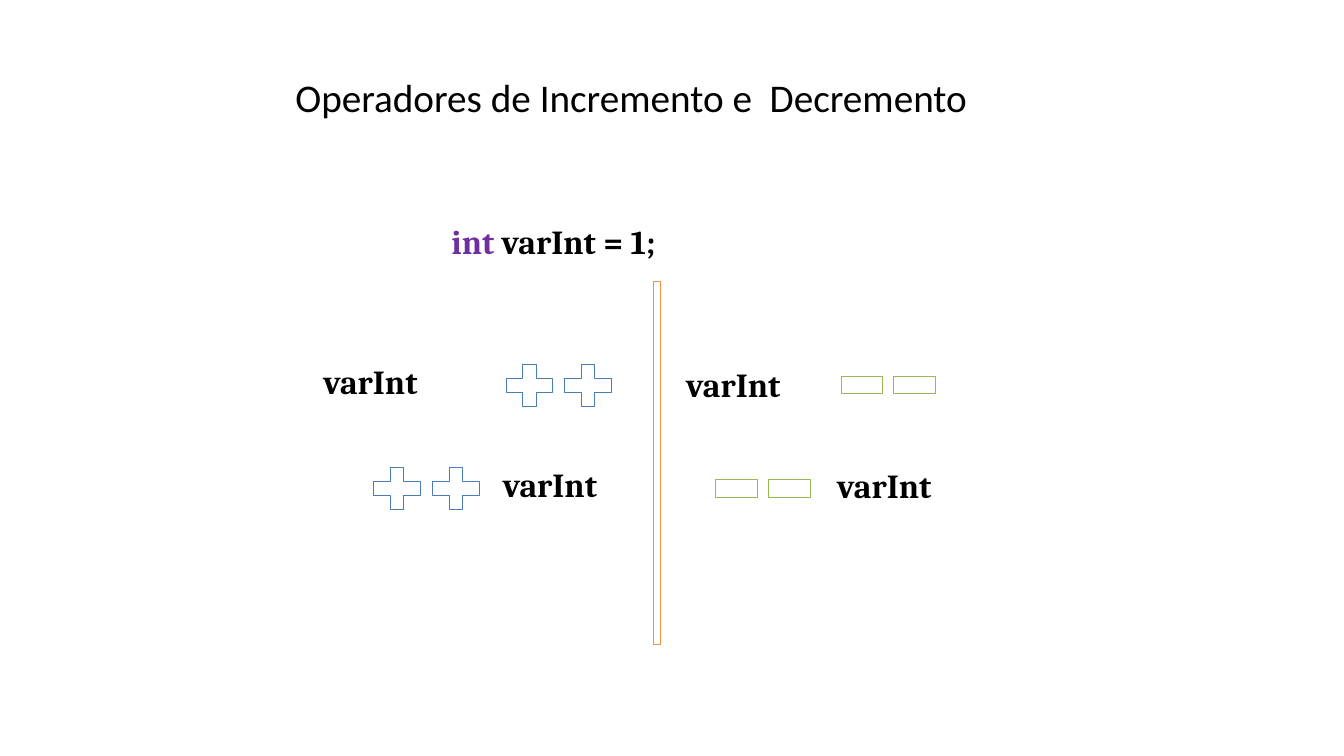
from pptx import Presentation
from pptx.dml.color import RGBColor
from pptx.enum.shapes import MSO_SHAPE
from pptx.enum.text import MSO_ANCHOR
from pptx.util import Pt

RECT = MSO_SHAPE.RECTANGLE
MIDDLE, TOP = MSO_ANCHOR.MIDDLE, MSO_ANCHOR.TOP
COLORS = {"black": "000000", "keyword": "6F2F9F", "plus": "497DBA",
          "minus": "97B853", "divider": "F69240"}

prs = Presentation()
prs.slide_width, prs.slide_height = Pt(960), Pt(540)
s = prs.slides.add_slide(prs.slide_layouts[6])


def add_text(x, y, w, h, runs, font, size, bold, anchor=TOP, inset=1):
    tf = s.shapes.add_textbox(Pt(x), Pt(y), Pt(w), Pt(h)).text_frame
    tf.word_wrap = True
    tf.vertical_anchor = anchor
    tf.margin_left = tf.margin_right = tf.margin_bottom = 0
    tf.margin_top = Pt(inset)
    for text, color in runs:
        r = tf.paragraphs[0].add_run()
        r.text = text
        r.font.name, r.font.size, r.font.bold = font, Pt(size), bold
        r.font.color.rgb = RGBColor.from_string(COLORS[color])


def outline(sp, color):
    sp.shadow.inherit = False
    sp.fill.background()
    sp.line.color.rgb = RGBColor.from_string(COLORS[color])
    sp.line.width = Pt(0.72)


# Divider between increment and decrement
outline(s.shapes.add_shape(RECT, Pt(466.6), Pt(200.9), Pt(5), Pt(259.2)), "divider")

# Plus signs, in pairs
PLUS_W, PLUS_H, ARM = 33.4, 29.5, 9.6
x1, x2 = (PLUS_W - ARM) / 2, (PLUS_W + ARM) / 2
y1, y2 = (PLUS_H - ARM) / 2, (PLUS_H + ARM) / 2
corners = [(0, y1), (x1, y1), (x1, 0), (x2, 0), (x2, y1), (PLUS_W, y1),
           (PLUS_W, y2), (x2, y2), (x2, PLUS_H), (x1, PLUS_H), (x1, y2), (0, y2)]
for left, top in [(267.1, 334.2), (361.5, 260.6)]:
    for x in (left, left + 41.8):
        pts = [(Pt(x + dx), Pt(top + dy)) for dx, dy in corners]
        builder = s.shapes.build_freeform(*pts[0])
        builder.add_line_segments(pts[1:], close=True)
        outline(builder.convert_to_shape(), "plus")

# Minus signs, in pairs
for left, top in [(511.4, 342.7), (601, 268.6)]:
    for x in (left, left + 37.6):
        outline(s.shapes.add_shape(RECT, Pt(x), Pt(top), Pt(29.7), Pt(12.5)), "minus")

add_text(211, 46.8, 593, 39.6, [("Operadores de Incremento e  Decremento", "black")],
         "Calibri", 28, False, MIDDLE, 5.8)
add_text(322.5, 156.8, 261, 30.2, [("int ", "keyword"), ("varInt = 1;", "black")],
         "Cambria", 24, True)
for x, y, w in [(231, 256.6, 116), (359.2, 330, 103), (490.2, 258.6, 94), (598, 330.8, 125)]:
    add_text(x, y, w, 30.2, [("varInt", "black")], "Cambria", 24, True)

prs.save("out.pptx")
